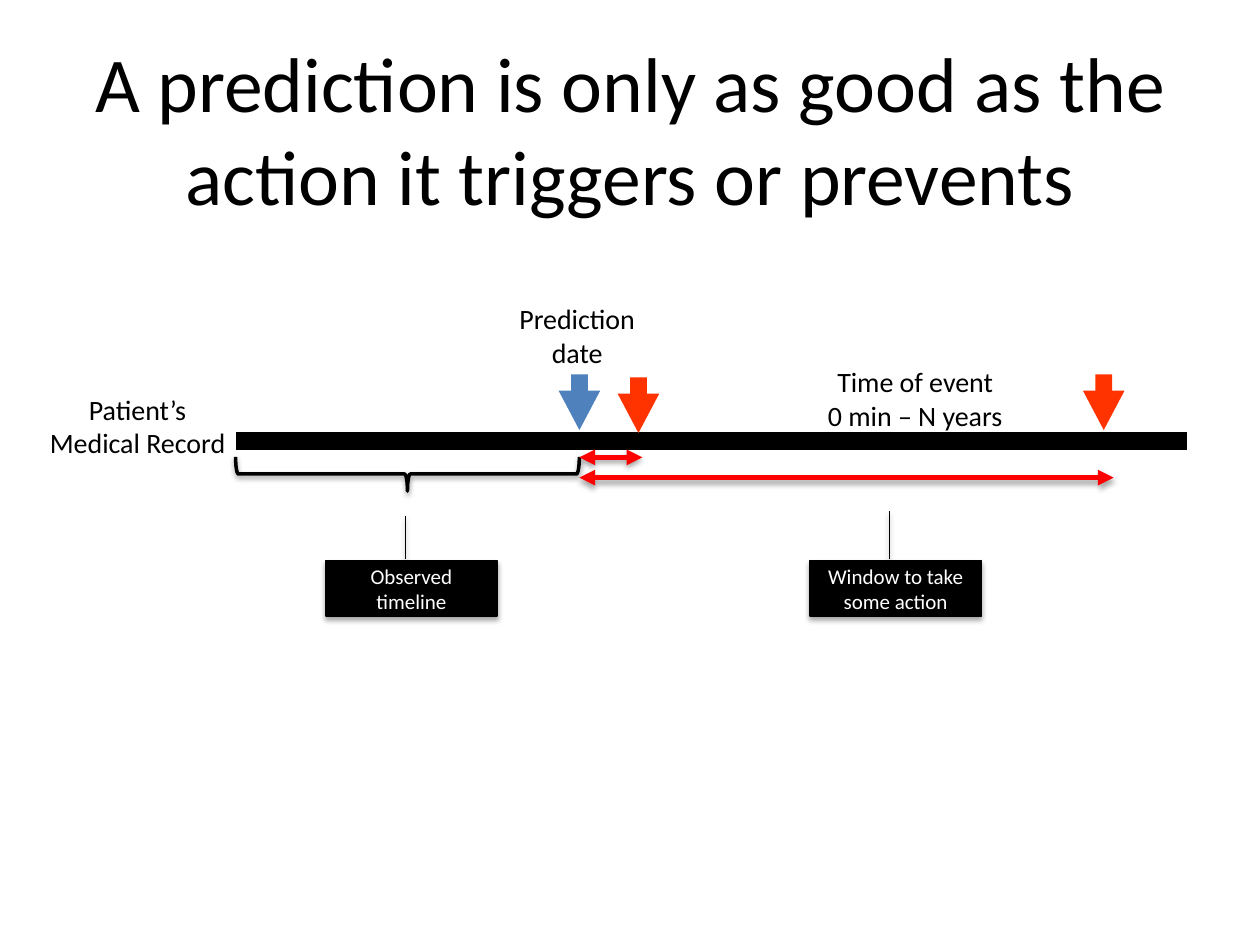
from lxml.etree import SubElement as Sub
from pptx import Presentation
from pptx.dml.color import RGBColor as Rgb
from pptx.enum.shapes import MSO_CONNECTOR as Link, MSO_SHAPE as Kind
from pptx.enum.text import MSO_ANCHOR as Anchor, PP_ALIGN as Align
from pptx.oxml.ns import qn
from pptx.util import Cm, Pt

SIDES = ("margin_left", "margin_top", "margin_right", "margin_bottom")
BLACK, WHITE, RED = "000000", "FFFFFF", "FF0000"


def paint(part, color):
    part.solid()
    part.fore_color.rgb = Rgb.from_string(color)


def assign(item, values):
    for name, value in values.items():
        setattr(item, name, value)


def stroke(item, color, width):
    paint(item.line.fill, color)
    item.line.width = Pt(width)


def effect(item, alpha=0, dist=1.8):
    group = Sub(item._element.spPr, qn("a:effectLst"))
    if alpha:
        cast = Sub(group, qn("a:outerShdw"), blurRad=str(Pt(3.1)),
                   dist=str(Pt(dist)), dir="5400000", rotWithShape="0")
        tint = Sub(cast, qn("a:srgbClr"), val=BLACK)
        Sub(tint, qn("a:alpha"), val=str(alpha * 1000))


def write(item, lines, size, color=BLACK, margins=None):
    frame = item.text_frame
    assign(frame, {"word_wrap": True, "vertical_anchor": Anchor.MIDDLE})
    if margins:
        assign(frame, {side: Cm(gap) for side, gap in zip(SIDES, margins)})
    for i, line in enumerate(lines):
        para = frame.add_paragraph() if i else frame.paragraphs[0]
        para.text = line
        para.alignment = Align.CENTER
        assign(para.font, {"name": "Calibri", "size": Pt(size)})
        para.font.color.rgb = Rgb.from_string(color)


def label(slide, box, lines, size=16, margins=(0, 0, 0, 0)):
    item = slide.shapes.add_textbox(*map(Cm, box))
    write(item, lines, size, margins=margins)


def shape(slide, kind, box, adjust=(), turn=0):
    item = slide.shapes.add_shape(kind, *map(Cm, box))
    item.rotation = turn
    for i, value in enumerate(adjust):
        item.adjustments[i] = value
    return item


def marker(slide, x, y, color):
    item = shape(slide, Kind.RIGHT_ARROW, (x, y, 1.12, 0.84), (0.404, 0.946), 90)
    paint(item.fill, color)
    item.line.fill.background()
    effect(item)


def rule(slide, x, y, end, color, width):
    item = slide.shapes.add_connector(Link.STRAIGHT, Cm(x), Cm(y), Cm(end), Cm(y))
    stroke(item, color, width)
    return item


def span(slide, x, y, end):
    item = rule(slide, x, y, end, RED, 3)
    for tip in ("a:headEnd", "a:tailEnd"):
        Sub(item.line._get_or_add_ln(), qn(tip), type="triangle")
    effect(item, 35)


def brace(slide, box):
    item = shape(slide, Kind.LEFT_BRACE, box, turn=270)
    item.fill.background()
    stroke(item, BLACK, 2)
    effect(item, 38, 1.6)


def callout(slide, x, y, text, reach):
    item = shape(slide, Kind.LINE_CALLOUT_1, (x, y, 3.45, 1.12),
                 (-0.019, 0.464, reach, 0.464))
    paint(item.fill, BLACK)
    stroke(item, BLACK, 0.75)
    effect(item, 35)
    write(item, [text], 12, WHITE)


def timeline(slide, box):
    x, y, wide, high = box
    effect(rule(slide, x + 3.84, y + 2.77, x + wide, BLACK, 10))
    label(slide, (x, y + 1.83, 3.73, 1.27), ["Patient’s Medical Record"])
    label(slide, (x + 8.86, y, 3.73, 1.27), ["Prediction", "date"])
    marker(slide, x + 10.21, y + 1.57, "4F81BD")
    brace(slide, (x + 6.96, y - 0.03, 0.69, 6.93))
    low = y + high - 1.12
    callout(slide, x + 5.66, low, "Observed timeline", -0.795)
    label(slide, (x + 15.42, y + 1.27, 4.24, 1.27),
          ["Time of event", "0 min – N years"])
    marker(slide, x + 11.4, y + 1.63, "FF3300")
    for drop, end in ((3.1, 12.04), (3.51, 21.54)):
        span(slide, x + 10.77, y + drop, x + end)
    marker(slide, x + 20.78, y + 1.57, "FF3300")
    callout(slide, x + 15.42, low, "Window to take some action", -0.883)


def main():
    deck = Presentation()
    assign(deck, {"slide_width": Cm(25.4), "slide_height": Cm(19.05)})
    slide = deck.slides.add_slide(deck.slide_layouts[6])
    paint(slide.background.fill, WHITE)
    label(slide, (0, 0.99, 25.4, 3.18),
          ["A prediction is only as good as the action it triggers or prevents"],
          44.3, (0.36, 0.18, 0.36, 0.18))
    timeline(slide, (0.91, 6.12, 23.01, 6.3))
    deck.save("out.pptx")


if __name__ == "__main__":
    main()
